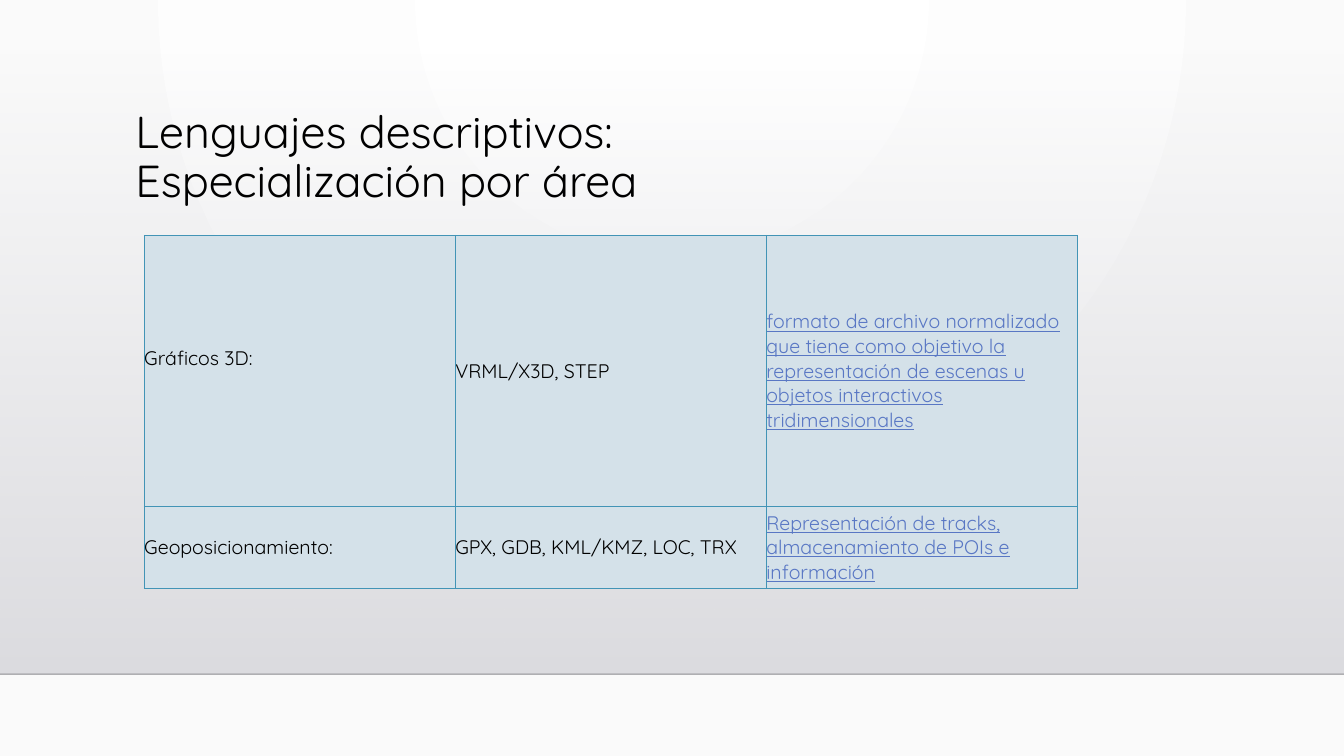
import pptx
import pptx.util
import pptx.dml.color
import pptx.enum.dml
import pptx.enum.shapes
import pptx.enum.text
import pptx.oxml
import pptx.oxml.ns
from lxml import etree

Pt = pptx.util.Pt
qn = pptx.oxml.ns.qn
FONT = "Quicksand"
COLORS = {
    "text": "000000",
    "link": "5977C4",
    "border": "4294B6",
    "cell": "D4E1E9",
    "bg_center": "FFFFFF",
    "bg_edge": "FAFAFA",
    "band_top": "DCDCE0",
    "band_bottom": "DEDEE2",
    "floor": "000001",
}
ROWS = [
    ["Gráficos 3D:", "VRML/X3D, STEP",
     "formato de archivo normalizado que tiene como objetivo la representación "
     "de escenas u objetos interactivos tridimensionales"],
    ["Geoposicionamiento:", "GPX, GDB, KML/KMZ, LOC, TRX",
     "Representación de tracks, almacenamiento de POIs e información"],
]


def rgb(name):
    return pptx.dml.color.RGBColor.from_string(COLORS[name])


def set_alpha(color_element, percent):
    etree.SubElement(color_element, qn("a:alpha")).set("val", str(percent * 1000))


def set_gradient(fill, first, last):
    fill.gradient()
    for stop, name in zip(fill.gradient_stops, (first, last)):
        stop.color.rgb = rgb(name)


def format_text(tf, size, color="text", underline=False):
    for p in tf.paragraphs:
        for r in p.runs:
            r.font.name = FONT
            r.font.size = Pt(size)
            r.font.color.rgb = rgb(color)
            r.font.underline = underline


def add_background(s):
    set_gradient(s.background.fill, "bg_center", "bg_edge")
    grad = s.element.find(".//" + qn("a:gradFill"))
    grad.remove(grad.find(qn("a:lin")))
    circle = etree.SubElement(grad, qn("a:path"))
    circle.set("path", "circle")
    rect = etree.SubElement(circle, qn("a:fillToRect"))
    for side, percent in zip("ltrb", (43, 0, 43, 100)):
        rect.set(side, str(percent * 1000))


def add_band(s, top, width, height):
    sp = s.shapes.add_shape(pptx.enum.shapes.MSO_SHAPE.RECTANGLE,
                            0, Pt(top), Pt(width), Pt(height))
    sp.shadow.inherit = False
    sp.line.fill.background()
    set_gradient(sp.fill, "band_top", "band_bottom")
    sp.fill.gradient_angle = 270
    set_alpha(sp.element.spPr.find(".//" + qn("a:srgbClr")), 0)


def add_floor_line(s, y, width):
    line = s.shapes.add_connector(pptx.enum.shapes.MSO_CONNECTOR.STRAIGHT,
                                  0, Pt(y), Pt(width), Pt(y))
    line.line.width = Pt(1)
    line.line.color.rgb = rgb("floor")
    spPr = line.element.spPr
    set_alpha(spPr.find(".//" + qn("a:srgbClr")), 20)
    etree.SubElement(spPr, qn("a:effectLst"))


def add_title(s, text, left, top, width, height):
    sp = s.shapes.title
    sp.left, sp.top, sp.width, sp.height = Pt(left), Pt(top), Pt(width), Pt(height)
    tf = sp.text_frame
    tf.text = text
    tf.word_wrap = True
    tf.auto_size = pptx.enum.text.MSO_AUTO_SIZE.NONE
    tf.vertical_anchor = pptx.enum.text.MSO_ANCHOR.TOP
    tf.paragraphs[0].alignment = pptx.enum.text.PP_ALIGN.LEFT
    tf.paragraphs[0].line_spacing = 0.9
    format_text(tf, 32)
    s.shapes.element.append(sp.element)


def set_borders(cell):
    tcPr = cell._tc.get_or_add_tcPr()
    for i, side in enumerate(("lnL", "lnR", "lnT", "lnB")):
        ln = etree.Element(qn("a:" + side), w=str(Pt(0.75)))
        fill = etree.SubElement(ln, qn("a:solidFill"))
        etree.SubElement(fill, qn("a:srgbClr")).set("val", COLORS["border"])
        tcPr.insert(i, ln)


def format_cell(cell, text, is_link):
    cell.text_frame.text = text
    cell.vertical_anchor = pptx.enum.text.MSO_ANCHOR.MIDDLE
    cell.margin_left = cell.margin_right = cell.margin_top = cell.margin_bottom = 0
    cell.fill.solid()
    cell.fill.fore_color.rgb = rgb("cell")
    set_borders(cell)
    format_text(cell.text_frame, 14, "link" if is_link else "text", is_link)


def add_language_table(s, left, top, width, heights):
    frame = s.shapes.add_table(len(ROWS), len(ROWS[0]), Pt(left), Pt(top),
                               Pt(width), Pt(sum(heights)))
    table = frame.table
    table.first_row = table.horz_banding = False
    for i, row in enumerate(ROWS):
        table.rows[i].height = Pt(heights[i])
        for j, text in enumerate(row):
            format_cell(table.cell(i, j), text, j == len(row) - 1)
    table.cell(0, 0).margin_bottom = Pt(18)


def main():
    prs = pptx.Presentation()
    prs.slide_width, prs.slide_height = Pt(960), Pt(540)
    s = prs.slides.add_slide(prs.slide_layouts[5])
    add_background(s)
    add_band(s, 36.5, 960, 445)
    add_floor_line(s, 481.5, 960)
    add_title(s, "Lenguajes descriptivos:\vEspecialización por área", 89.5, 75, 756, 83)
    add_language_table(s, 103, 168, 666.6, (193.5, 58.8))
    prs.save("out.pptx")


if __name__ == "__main__":
    main()
